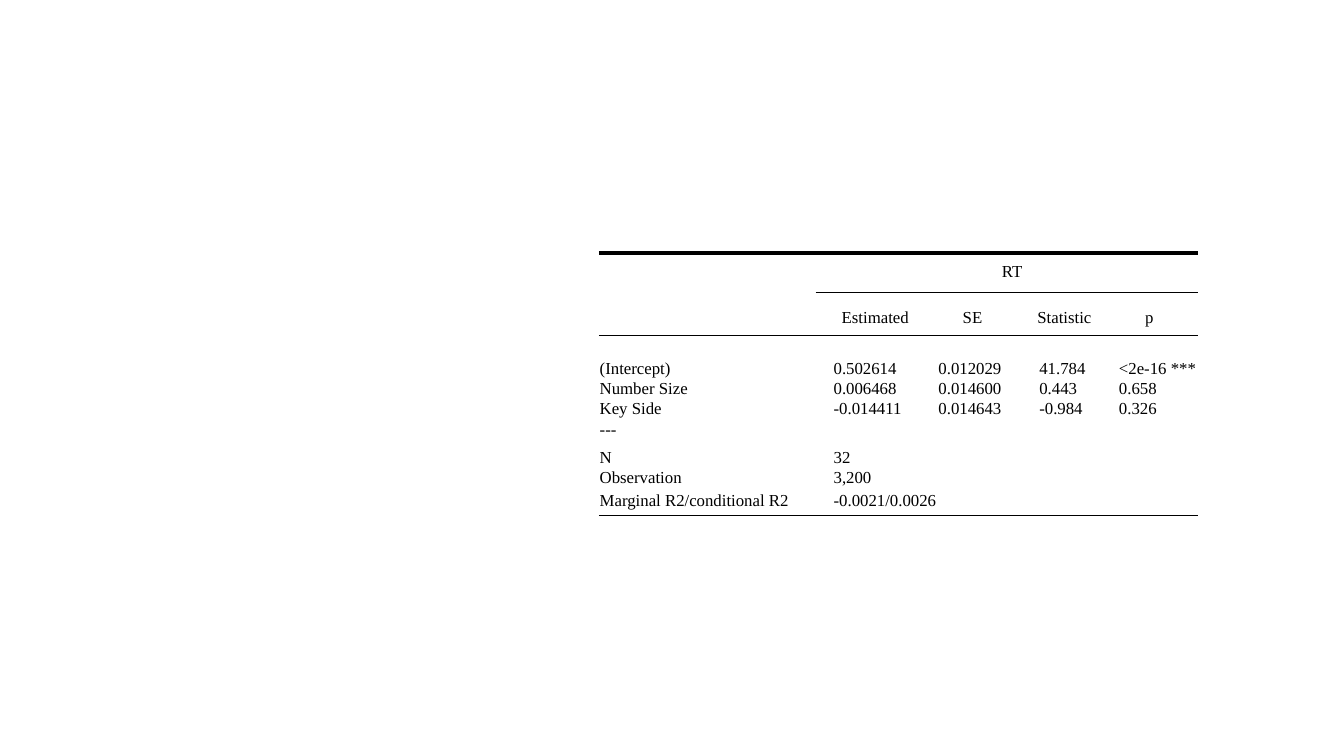
from lxml import etree
from pptx import Presentation, util as u
from pptx.dml.color import RGBColor
from pptx.enum import shapes, text
from pptx.oxml.ns import qn

BLACK = RGBColor(0, 0, 0)
FONT = "Times New Roman"
SLIDE_SIZE = (13.33, 7.5)
TABLE_BOX = (5.94, 2.51, 5.94, 2.6)  # left, top, width, height

# Column starts, measured from the text edge of each block
VALUE_TABS = (2.32, 3.36, 4.36, 5.15)
HEADING_TABS = (1.2, 1.94, 3.01)

HEADINGS = ("Estimated", "SE", "Statistic", "p")
EFFECTS = (
    ("(Intercept)", "0.502614", "0.012029", "41.784", "<2e-16 ***"),
    ("Number Size", "0.006468", "0.014600", "0.443", "0.658"),
    ("Key Side", "-0.014411", "0.014643", "-0.984", "0.326"),
    ("---",),
)
SAMPLE = (("N", "32"), ("Observation", "3,200"))
FIT = (("Marginal R2/conditional R2", "-0.0021/0.0026"),)


def add_rule(slide, left, right, y, weight):
    """Draw one horizontal rule of the table."""
    rule = slide.shapes.add_connector(
        shapes.MSO_CONNECTOR.STRAIGHT,
        u.Inches(left), u.Inches(y), u.Inches(right), u.Inches(y))
    rule.line.color.rgb = BLACK
    rule.line.width = u.Pt(weight)
    etree.SubElement(rule._element.spPr, qn("a:effectLst"))


def set_tabs(paragraph, tabs):
    tab_list = etree.SubElement(paragraph._p.get_or_add_pPr(), qn("a:tabLst"))
    for position in tabs:
        etree.SubElement(tab_list, qn("a:tab"),
                         pos=str(u.Inches(position)), algn="l")


def add_rows(slide, box, rows, tabs=(), align=text.PP_ALIGN.LEFT):
    """Write rows of cells as paragraphs whose columns sit on tab stops."""
    shape = slide.shapes.add_textbox(*(u.Inches(length) for length in box))
    frame = shape.text_frame
    frame.word_wrap = True
    frame.text = "\n".join("\t".join(row) for row in rows)
    for row, paragraph in zip(rows, frame.paragraphs):
        paragraph.alignment = align
        paragraph.font.name = FONT
        paragraph.font.size = u.Pt(12)
        paragraph.font.color.rgb = BLACK
        if len(row) > 1:
            set_tabs(paragraph, tabs)


def add_header(slide, box):
    """Outcome name above the four column headings."""
    left, top, width, _ = box
    right = left + width
    add_rule(slide, left, right, top, 2.25)
    add_rows(slide, (left + 3.52, top + 0.03, 1.16, 0.3), [("RT",)],
             align=text.PP_ALIGN.CENTER)
    add_rule(slide, left + 2.15, right, top + 0.39, 1)
    add_rows(slide, (left + 2.31, top + 0.48, 3.95, 0.3), [HEADINGS],
             HEADING_TABS)
    add_rule(slide, left, right, top + 0.82, 0.5)


def add_body(slide, box):
    """Fixed effects, sample size and model fit above the closing rule."""
    left, top, width, height = box
    text_left = left - 0.09
    blocks = (
        (EFFECTS, 0.99, 6.16, 1.11),
        (SAMPLE, 1.87, 6.03, 0.5),
        (FIT, 2.3, 6.03, 0.3),
    )
    for rows, offset, block_width, block_height in blocks:
        add_rows(slide, (text_left, top + offset, block_width, block_height),
                 rows, VALUE_TABS)
    add_rule(slide, left, left + width, top + height, 0.5)


def main():
    presentation = Presentation()
    presentation.slide_width, presentation.slide_height = map(
        u.Inches, SLIDE_SIZE)
    slide = presentation.slides.add_slide(presentation.slide_layouts[6])
    add_header(slide, TABLE_BOX)
    add_body(slide, TABLE_BOX)
    presentation.save("out.pptx")


if __name__ == "__main__":
    main()
